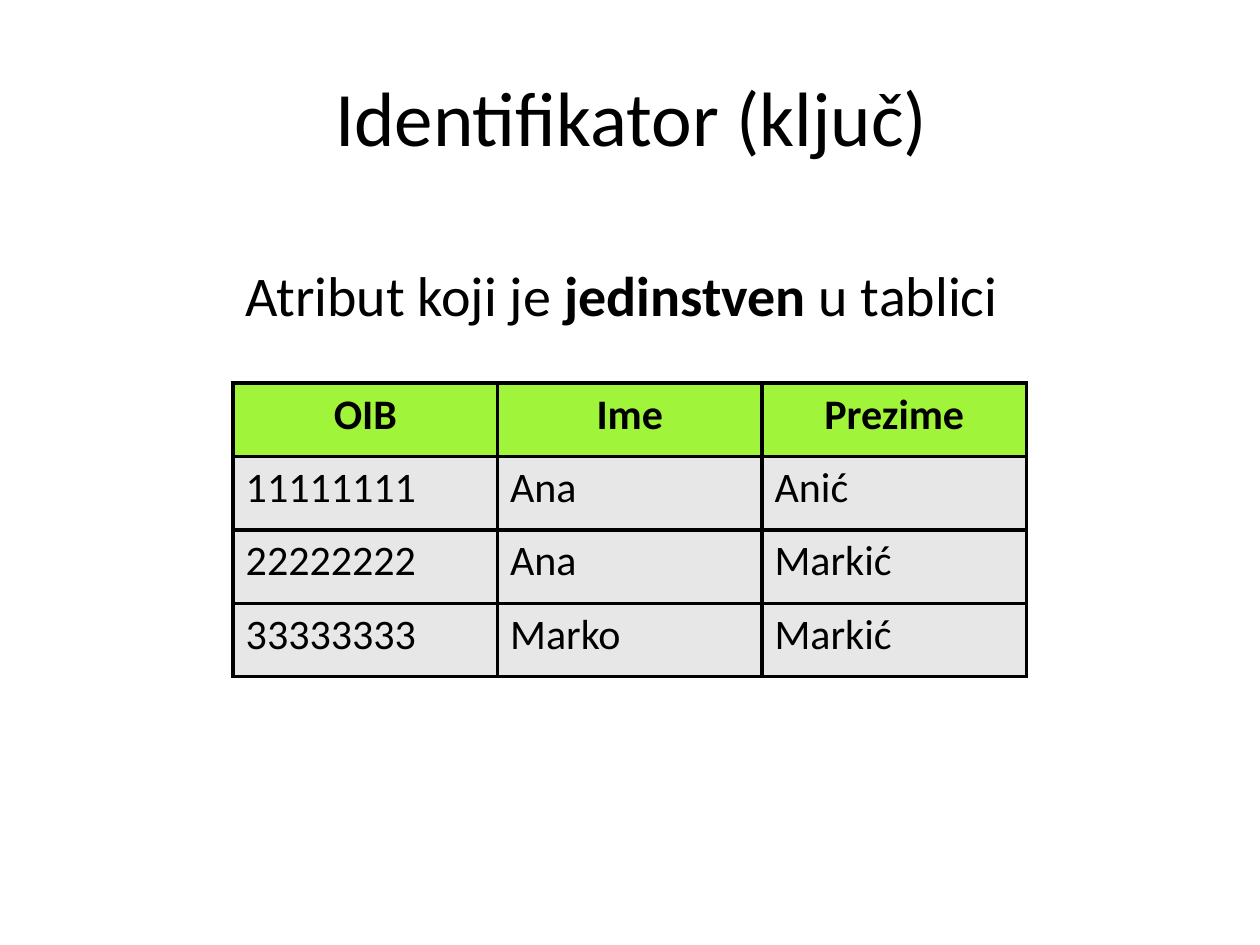
from dataclasses import dataclass

from lxml import etree
from pptx import Presentation
from pptx.dml.color import RGBColor
from pptx.enum.text import MSO_ANCHOR, PP_ALIGN
from pptx.oxml.ns import qn
from pptx.util import Cm, Pt

CENTER = PP_ALIGN.CENTER
LEFT = PP_ALIGN.LEFT
MIDDLE = MSO_ANCHOR.MIDDLE
TITLE_ONLY = 5


@dataclass(frozen=True)
class Theme:
    font: str = "Calibri"
    ink: str = "000000"
    head: str = "A0F43A"
    body: str = "E7E7E7"
    title: int = 44
    lead: int = 32
    cell: int = 24
    border: float = 2.25


THEME = Theme()
ROWS = [
    ("OIB", "Ime", "Prezime"),
    ("11111111", "Ana", "Anić"),
    ("22222222", "Ana", "Markić"),
    ("33333333", "Marko", "Markić"),
]


def style(run, size, bold=False):
    font = run.font
    font.name = THEME.font
    font.size = Pt(size)
    font.bold = bold
    font.color.rgb = RGBColor.from_string(THEME.ink)


def add_title(slide, text):
    title = slide.shapes.title
    title.left, title.top = Cm(1.3), Cm(0.74)
    title.width, title.height = Cm(22.86), Cm(3.18)
    frame = title.text_frame
    frame.text = text
    frame.vertical_anchor = MIDDLE
    para = frame.paragraphs[0]
    para.alignment = CENTER
    style(para.runs[0], THEME.title)


def add_lead(slide, parts):
    box = slide.shapes.add_textbox(Cm(4.7), Cm(5.13), Cm(16.2), Cm(1.88))
    frame = box.text_frame
    frame.word_wrap = True
    para = frame.paragraphs[0]
    for text, bold in parts:
        run = para.add_run()
        run.text = text
        style(run, THEME.lead, bold)


def set_border(cell):
    props = cell._tc.get_or_add_tcPr()
    for spot, side in enumerate(("a:lnL", "a:lnR", "a:lnT", "a:lnB")):
        line = etree.Element(qn(side), w=str(Pt(THEME.border)))
        fill = etree.SubElement(line, qn("a:solidFill"))
        etree.SubElement(fill, qn("a:srgbClr"), val=THEME.ink)
        props.insert(spot, line)


def fill_cell(cell, text, head):
    cell.fill.solid()
    cell.fill.fore_color.rgb = RGBColor.from_string(THEME.head if head else THEME.body)
    set_border(cell)
    cell.text_frame.text = text
    para = cell.text_frame.paragraphs[0]
    para.alignment = CENTER if head else LEFT
    style(para.runs[0], THEME.cell, head)


def add_grid(slide, rows):
    count, width = len(rows), len(rows[0])
    frame = slide.shapes.add_table(
        count, width, Cm(4.7), Cm(7.72), Cm(5.33) * width, Cm(1.48) * count
    )
    for r, row in enumerate(rows):
        for c, text in enumerate(row):
            fill_cell(frame.table.cell(r, c), text, r == 0)


def main():
    deck = Presentation()
    deck.slide_width, deck.slide_height = Cm(25.4), Cm(19.05)
    slide = deck.slides.add_slide(deck.slide_layouts[TITLE_ONLY])
    add_title(slide, "Identifikator (ključ)")
    add_lead(
        slide,
        [("Atribut koji je ", False), ("jedinstven", True), (" u tablici", False)],
    )
    add_grid(slide, ROWS)
    deck.save("out.pptx")


if __name__ == "__main__":
    main()
